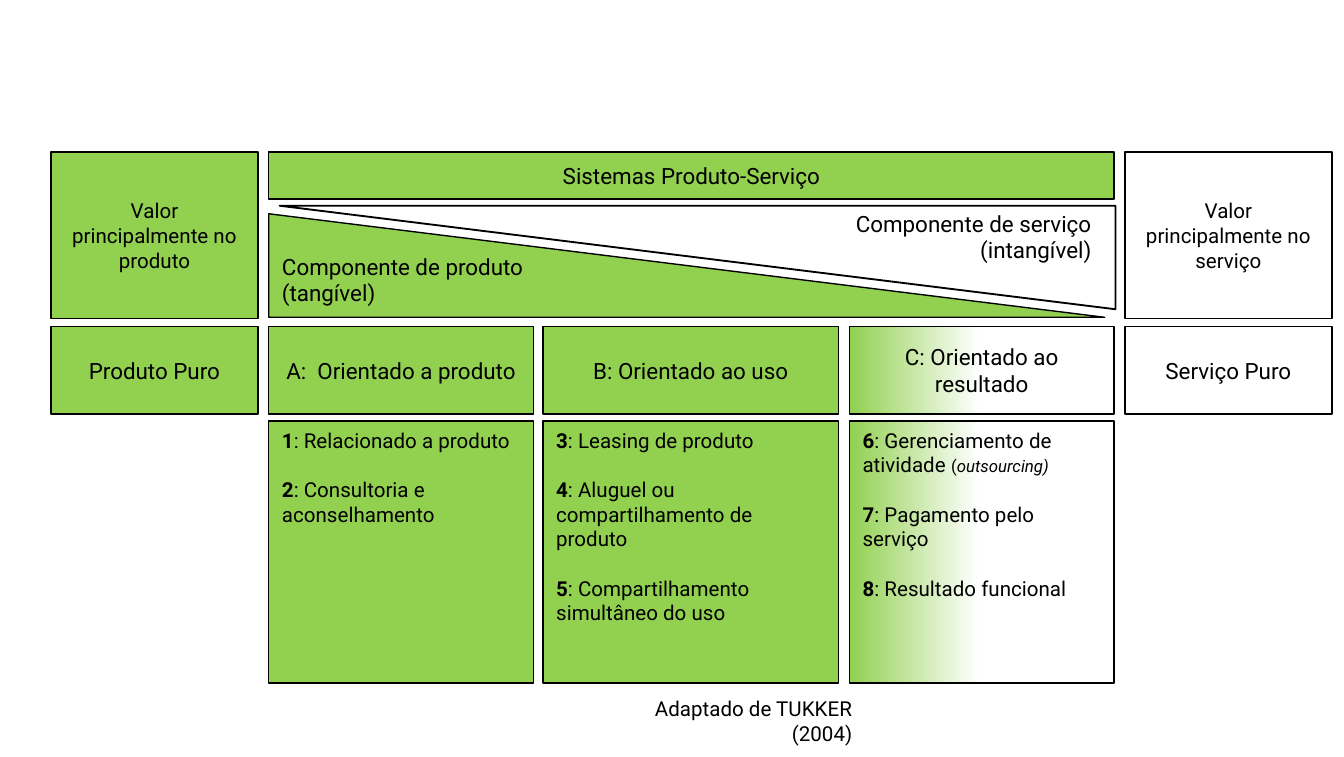
from pptx import Presentation
from pptx.dml.color import RGBColor as Rgb
from pptx.enum.shapes import MSO_SHAPE as Shape
from pptx.enum.text import MSO_ANCHOR as Anchor, MSO_AUTO_SIZE as AutoSize, PP_ALIGN as Align
from pptx.util import Inches, Pt

COLORS = {"green": "92D050", "white": "FFFFFF", "black": "000000"}
FONT = "Roboto"

# Grid in inches: (start, length) of each column and row
COLUMNS = [(0.38, 1.54), (2, 1.97), (4.04, 2.2), (6.32, 1.97), (8.37, 1.54)]
ROWS = {"value": (1.13, 1.24), "banner": (1.13, 0.35),
        "type": (2.43, 0.65), "detail": (3.13, 1.95)}


def cell(row, first, last=None):
    """Return left, top, width, height of a span of columns in a row."""
    left = COLUMNS[first][0]
    end_left, end_width = COLUMNS[first if last is None else last]
    top, height = ROWS[row]
    return left, top, end_left + end_width - left, height


class Diagram:
    def __init__(self, deck):
        self.page = deck.slides.add_slide(deck.slide_layouts[6])

    def color(self, name):
        return Rgb.from_string(COLORS[name])

    def shape(self, kind, area, fill, line=0.75):
        shape = self.page.shapes.add_shape(kind, *map(Inches, area))
        shape.shadow.inherit = False
        if fill == "fade":
            shape.fill.gradient()
            shape.fill.gradient_angle = 0
            for stop, name, position in zip(shape.fill.gradient_stops,
                                            ("green", "white"), (0, 0.49)):
                stop.color.rgb = self.color(name)
                stop.position = position
        else:
            shape.fill.solid()
            shape.fill.fore_color.rgb = self.color(fill)
        shape.line.color.rgb = self.color("black")
        shape.line.width = Pt(line)
        return shape

    def wedge(self, area, fill, line, rotation=0):
        wedge = self.shape(Shape.ISOSCELES_TRIANGLE, area, fill, line)
        wedge.adjustments[0] = 0
        wedge.rotation = rotation

    def span(self, para, text, size, bold=False, italic=False):
        span = para.add_run()
        span.text = text
        font = span.font
        font.name, font.size = FONT, Pt(size)
        font.bold, font.italic = bold, italic
        font.color.rgb = self.color("black")

    def caption(self, box, text, size, align, anchor=Anchor.MIDDLE):
        frame = box.text_frame
        frame.word_wrap = True
        frame.vertical_anchor = anchor
        para = frame.paragraphs[0]
        para.alignment = align
        self.span(para, text, size)

    def block(self, area, fill, text, size=12):
        box = self.shape(Shape.RECTANGLE, area, fill)
        self.caption(box, text, size, Align.CENTER)

    def label(self, area, text, align, size=12, anchor=Anchor.MIDDLE):
        box = self.page.shapes.add_textbox(*map(Inches, area))
        self.caption(box, text, size, align, anchor)
        return box.text_frame

    def details(self, area, fill, items):
        """Fill a box with items: a number, a text and an optional aside."""
        frame = self.shape(Shape.RECTANGLE, area, fill).text_frame
        frame.word_wrap = True
        frame.vertical_anchor = Anchor.TOP
        for index, (number, text, *aside) in enumerate(items):
            para = frame.add_paragraph() if index else frame.paragraphs[0]
            para.alignment = Align.LEFT
            if index:
                para.space_before = Pt(13.2)
            self.span(para, number, 11, bold=True)
            self.span(para, f": {text}", 11)
            for word in aside:
                self.span(para, "(", 9)
                self.span(para, f"{word})", 9, italic=True)


def main():
    deck = Presentation()
    deck.slide_width, deck.slide_height = Inches(10), Inches(5.63)
    diagram = Diagram(deck)

    # Value at both ends of the scale
    diagram.block(cell("value", 0), "green", "Valor principalmente no produto", 11)
    diagram.block(cell("value", 4), "white", "Valor principalmente no serviço", 11)

    # Opposing wedges under the banner
    diagram.wedge((2, 1.59, 6.22, 0.77), "green", 0.75)
    diagram.wedge((2.08, 1.53, 6.22, 0.77), "white", 1, rotation=180)
    diagram.block(cell("banner", 1, 3), "green", "Sistemas Produto-Serviço")

    # Types of offer
    types = [("Produto Puro", "green"), ("A:  Orientado a produto", "green"),
             ("B: Orientado ao uso", "green"), ("C: Orientado ao resultado", "fade"),
             ("Serviço Puro", "white")]
    for column, (text, fill) in enumerate(types):
        diagram.block(cell("type", column), fill, text)

    # Wedge labels
    diagram.label((5.88, 1.58, 2.34, 0.36), "Componente de serviço (intangível)", Align.RIGHT)
    product = diagram.label((2, 2, 2.34, 0.36), "Componente de produto (tangível)", Align.LEFT)
    product.margin_bottom = Inches(0.25)  # lifts the label inside its wedge

    # Subtypes of each system
    subtypes = [
        [("1", "Relacionado a produto"), ("2", "Consultoria e aconselhamento")],
        [("3", "Leasing de produto"), ("4", "Aluguel ou compartilhamento de produto"),
         ("5", "Compartilhamento simultâneo do uso")],
        [("6", "Gerenciamento de atividade ", "outsourcing"),
         ("7", "Pagamento pelo serviço"), ("8", "Resultado funcional")],
    ]
    for column, items in enumerate(subtypes, start=1):
        diagram.details(cell("detail", column), types[column][1], items)

    # Source
    source = diagram.label((4.35, 5.13, 2.09, 0.29), "Adaptado de TUKKER (2004)",
                           Align.RIGHT, 11, Anchor.TOP)
    source.auto_size = AutoSize.SHAPE_TO_FIT_TEXT

    deck.save("out.pptx")


if __name__ == "__main__":
    main()
